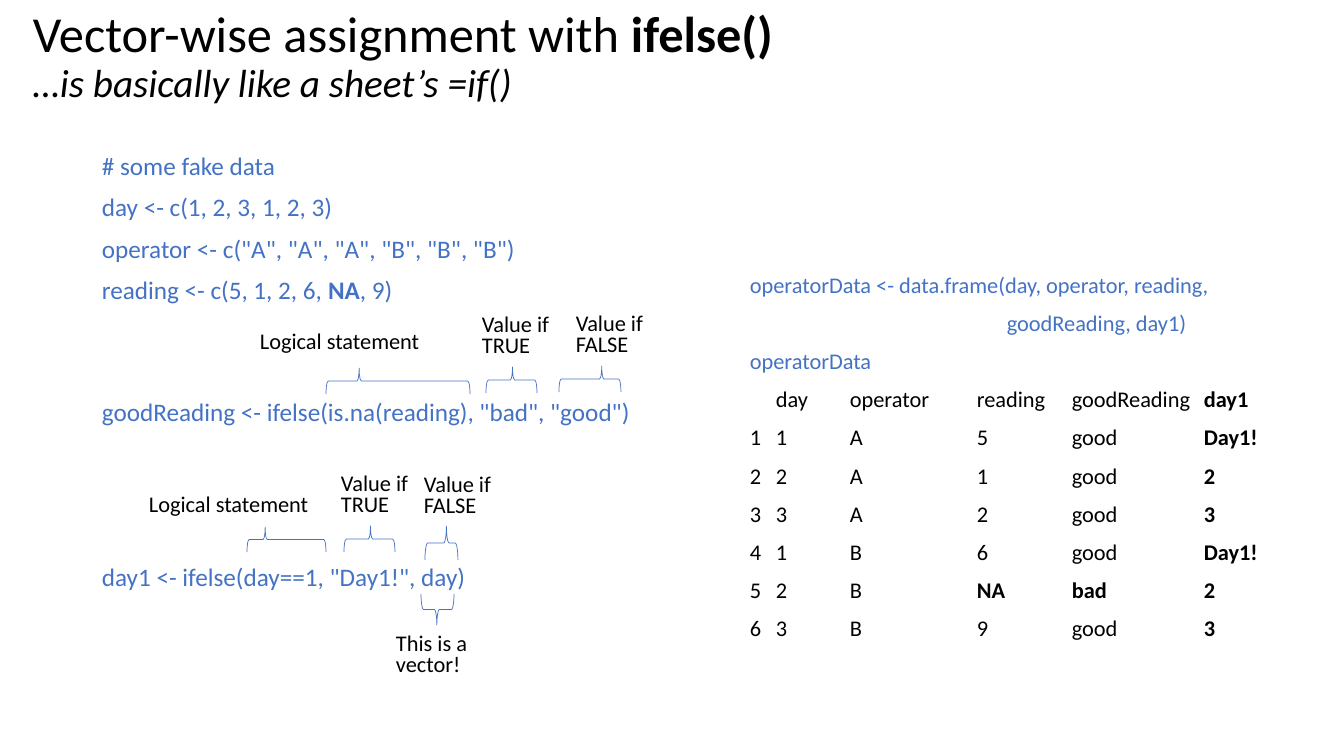
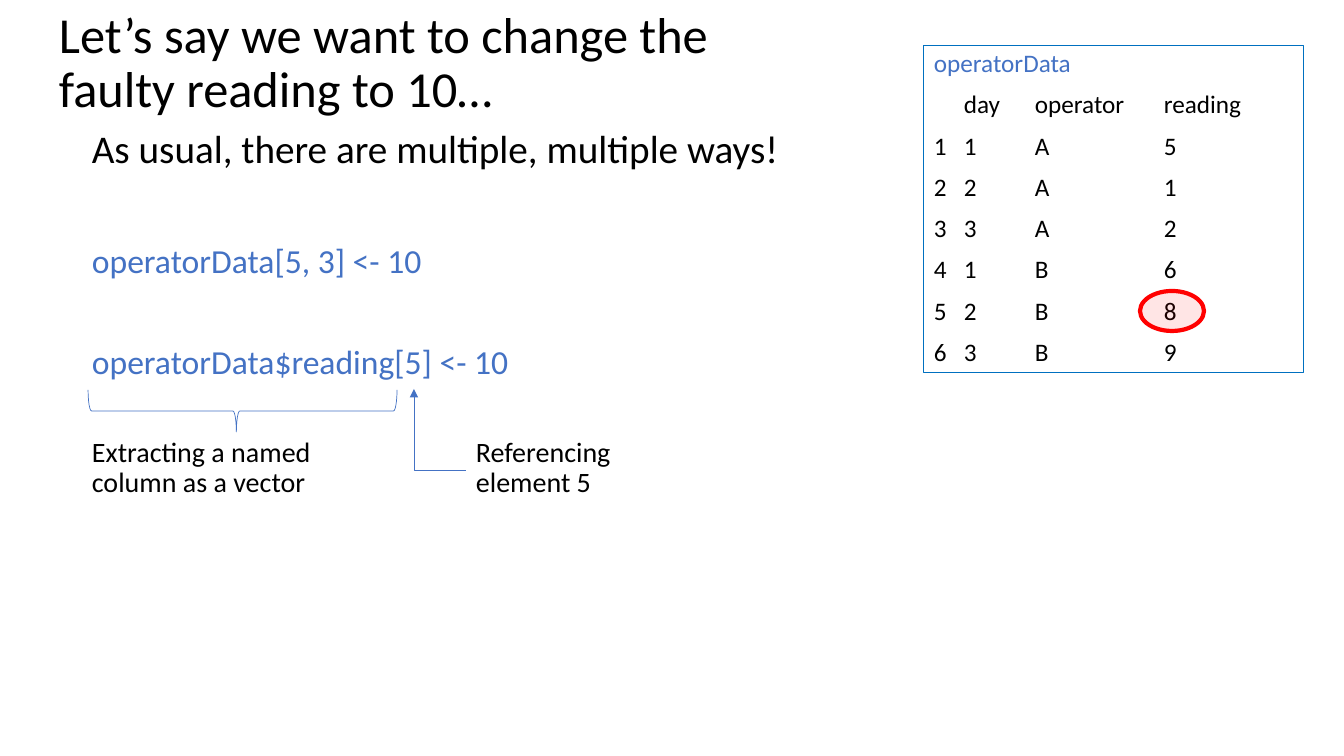
"""Build two slides on vector-wise assignment and indexing in R."""
from lxml.etree import SubElement
from pptx import Presentation
from pptx.dml.color import RGBColor
from pptx.enum.shapes import MSO_CONNECTOR, MSO_SHAPE
from pptx.enum.text import MSO_ANCHOR, PP_ALIGN
from pptx.oxml.ns import qn
from pptx.util import Pt

FONT = "Calibri"
BLACK, CODE_BLUE, FRAME_BLUE, RED = "000000", "4472C4", "0070C0", "FF0000"
TITLE_SIZE = 36
color = RGBColor.from_string


def px(length):
    """Turn pixels at 100.8 to the inch into EMU."""
    return round(length * 914400 / 100.8)


def write(shape, lines, size, ink=BLACK, spacing=0.9, before=10, tabs=()):
    """Fill a shape with lines, where *stars* enclose bold text."""
    frame = shape.text_frame
    frame.word_wrap = True
    frame.vertical_anchor = MSO_ANCHOR.TOP
    frame.text = "\n".join(lines)
    for paragraph, line in zip(frame.paragraphs, lines):
        paragraph.alignment = PP_ALIGN.LEFT
        paragraph.line_spacing = spacing
        paragraph.space_before = Pt(before)
        paragraph.text = ""
        for index, part in enumerate(line.split("*")):
            if part:
                run = paragraph.add_run()
                run.text = part
                run.font.name, run.font.size = FONT, Pt(size)
                run.font.bold = index % 2 == 1
                run.font.color.rgb = color(ink)
        if tabs:
            stops = SubElement(paragraph._p.get_or_add_pPr(), qn("a:tabLst"))
            for stop in tabs:
                SubElement(stops, qn("a:tab"), pos=str(px(stop)), algn="l")
    return frame


deck = Presentation()
deck.slide_width, deck.slide_height = px(1344), px(756)
ifelse_slide, change_slide = [deck.slides.add_slide(deck.slide_layouts[6]) for _ in range(2)]

titles = [
    (ifelse_slide, (23, 0, 1255, 115),
     ["Vector-wise assignment with *ifelse()*", "…is basically like a sheet’s =if()"]),
    (change_slide, (49, 0, 674, 128),
     ["Let’s say we want to change the faulty reading to 10…"]),
]
for slide, box, lines in titles:
    title = write(slide.shapes.add_textbox(*map(px, box)), lines, TITLE_SIZE, before=0)
    title.vertical_anchor = MSO_ANCHOR.MIDDLE
    for subtitle in title.paragraphs[1:]:
        subtitle.runs[0].font.size = Pt(28)
        subtitle.runs[0].font.italic = True

days = [1, 2, 3, 1, 2, 3]
operators = ["A", "A", "A", "B", "B", "B"]

assignment_code = write(ifelse_slide.shapes.add_textbox(*map(px, (92, 149, 674, 575))), [
    "# some fake data",
    "day <- c(1, 2, 3, 1, 2, 3)",
    'operator <- c("A", "A", "A", "B", "B", "B")',
    "reading <- c(5, 1, 2, 6, *NA*, 9)",
    'goodReading <- ifelse(is.na(reading), "bad", "good")',
    'day1 <- ifelse(day==1, "Day1!", day)',
], 18, CODE_BLUE)
assignment_code.paragraphs[4].space_before = Pt(68)
assignment_code.paragraphs[5].space_before = Pt(98)

result_lines = [
    "operatorData <- data.frame(day, operator, reading,",
    "goodReading, day1)",
    "operatorData",
    "\tday\toperator\treading\tgoodReading\t*day1*",
]
for row, (day, operator, reading) in enumerate(zip(days, operators, [5, 1, 2, 6, "*NA*", 9]), 1):
    quality = "*bad*" if reading == "*NA*" else "good"
    day1 = "Day1!" if day == 1 else day
    result_lines.append(f"{row}\t{day}\t{operator}\t{reading}\t{quality}\t*{day1}*")
result = write(ifelse_slide.shapes.add_textbox(*map(px, (740, 269, 604, 410))),
               result_lines, 16, tabs=(26, 100, 227, 322, 454))
result.paragraphs[1]._p.get_or_add_pPr().set("marL", str(px(257)))
for code_line in result.paragraphs[:3]:
    code_line.runs[0].font.color.rgb = color(CODE_BLUE)

change_code = write(change_slide.shapes.add_textbox(*map(px, (82, 240, 800, 150))),
                    ["operatorData[5, 3] <- 10", "operatorData$reading[5] <- 10"], 24, CODE_BLUE)
change_code.paragraphs[1].space_before = Pt(46)

data_lines = ["operatorData", "\tday\toperator\treading"]
for row, values in enumerate(zip(days, operators, [5, 1, 2, 6, 8, 9]), 1):
    data_lines.append("\t".join(map(str, (row, *values))))
data_frame = change_slide.shapes.add_shape(MSO_SHAPE.RECTANGLE, *map(px, (924, 46, 380, 327)))
data_frame.shadow.inherit = False
data_frame.fill.background()
data_frame.line.color.rgb = color(FRAME_BLUE)
data_frame.line.width = Pt(0.75)
data_text = write(data_frame, data_lines, 18, tabs=(30, 101, 230))
data_text.paragraphs[0].runs[0].font.color.rgb = color(CODE_BLUE)

faulty_mark = change_slide.shapes.add_shape(MSO_SHAPE.OVAL, *map(px, (1140, 291, 64, 40)))
faulty_mark.shadow.inherit = False
faulty_mark.fill.solid()
faulty_mark.fill.fore_color.rgb = color(RED)
SubElement(faulty_mark._element.spPr.find(f"{qn('a:solidFill')}/{qn('a:srgbClr')}"),
           qn("a:alpha"), val="10000")
faulty_mark.line.color.rgb = color(RED)
faulty_mark.line.width = Pt(3)

labels = [
    (ifelse_slide, "Logical statement", (250, 325, 200, 43), 16, 0.9),
    (ifelse_slide, "Value if TRUE", (472, 310, 94, 57), 16, 0.8),
    (ifelse_slide, "Value if FALSE", (566, 309, 94, 57), 16, 0.8),
    (ifelse_slide, "Logical statement", (139, 488, 200, 43), 16, 0.9),
    (ifelse_slide, "Value if TRUE", (331, 469, 94, 57), 16, 0.8),
    (ifelse_slide, "Value if FALSE", (414, 470, 94, 57), 16, 0.8),
    (ifelse_slide, "This is a vector!", (386, 629, 103, 57), 16, 0.8),
    (change_slide, "As usual, there are multiple, multiple ways!", (82, 125, 1222, 87), 28, 0.9),
    (change_slide, "Extracting a named column as a vector", (82, 433, 244, 75), 20, 0.9),
    (change_slide, "Referencing element 5", (466, 433, 163, 75), 20, 0.9),
]
for slide, label, box, size, spacing in labels:
    write(slide.shapes.add_textbox(*map(px, box)), [label], size, spacing=spacing)

UP, DOWN = 270, 90
braces = [
    (ifelse_slide, (326, 368, 144, 26), UP, 0.23),
    (ifelse_slide, (486, 367, 51, 26), UP, 0.52),
    (ifelse_slide, (559, 366, 62, 26), UP, 0.69),
    (ifelse_slide, (247, 527, 79, 25), UP, 0.23),
    (ifelse_slide, (344, 526, 51, 26), UP, 0.52),
    (ifelse_slide, (425, 526, 33, 34), UP, 0.65),
    (ifelse_slide, (421, 594, 33, 31), DOWN, 0.52),
    (change_slide, (88, 390, 309, 42), DOWN, 0.52),
]
for slide, (left, top, span, depth), direction, tip in braces:
    shift = (span - depth) / 2
    brace = slide.shapes.add_shape(MSO_SHAPE.RIGHT_BRACE,
                                   *map(px, (left + shift, top - shift, depth, span)))
    brace.rotation = direction
    brace.adjustments[1] = tip
    brace.shadow.inherit = False
    brace.fill.background()
    brace.line.color.rgb = color(CODE_BLUE)
    brace.line.width = Pt(0.5)

element_arrow = change_slide.shapes.add_connector(MSO_CONNECTOR.ELBOW, *map(px, (466, 470, 414, 389)))
element_arrow.line.color.rgb = color(CODE_BLUE)
element_arrow.line.width = Pt(0.5)
arrow_properties = element_arrow._element.spPr
arrow_properties.find(qn("a:prstGeom")).set("prst", "bentConnector2")
SubElement(arrow_properties.find(qn("a:ln")), qn("a:tailEnd"), type="triangle")
SubElement(arrow_properties, qn("a:effectLst"))

deck.save("out.pptx")
